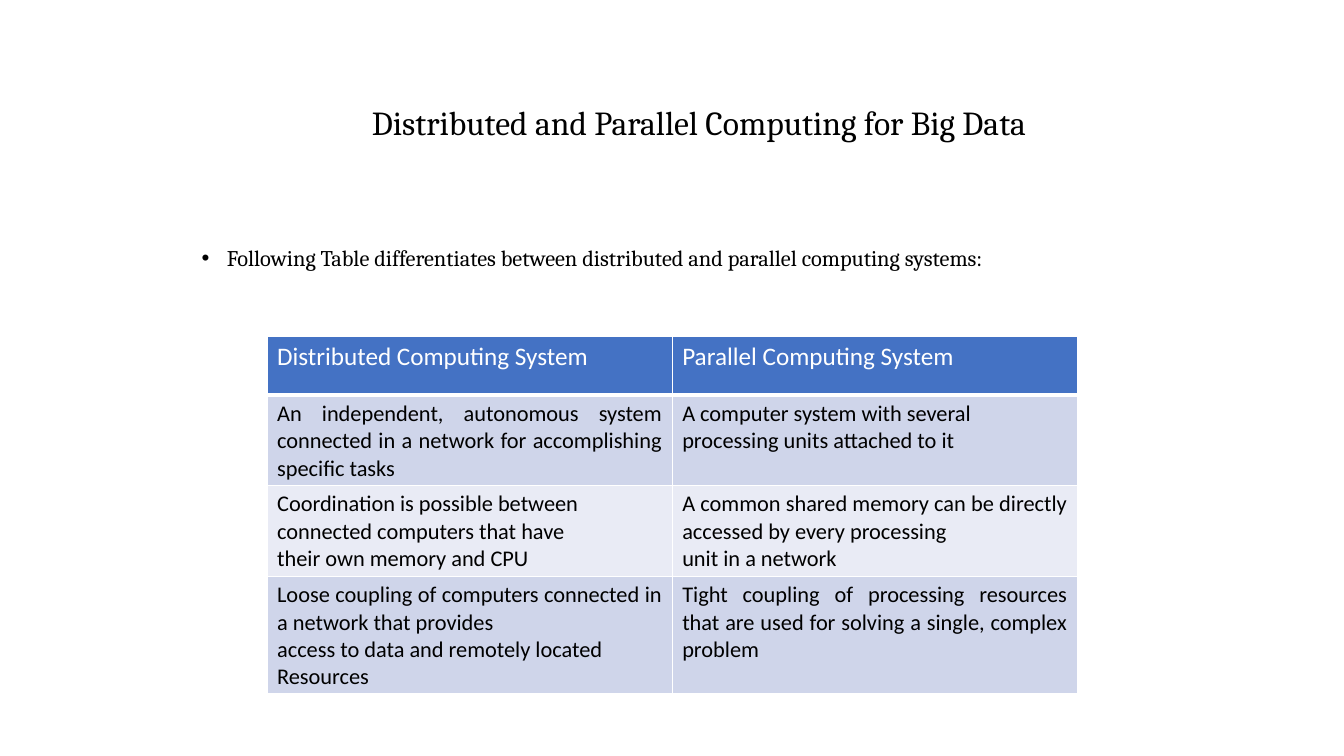
from dataclasses import dataclass

from lxml.etree import SubElement
from pptx import Presentation
from pptx.dml.color import RGBColor
from pptx.enum.text import MSO_ANCHOR, PP_ALIGN
from pptx.oxml.ns import qn
from pptx.util import Cm, Pt


@dataclass(frozen=True)
class Theme:
    black: str = "000000"
    white: str = "FFFFFF"
    header: str = "4472C4"
    bands: tuple = ("CFD5EA", "E9EBF5")
    serif: str = "Cambria"
    sans: str = "Calibri"
    title_size: int = 24
    header_size: int = 18
    body_size: int = 16
    border: int = 1
    header_border: int = 3


HEADINGS = ("Distributed Computing System", "Parallel Computing System")
COMPARISON = [
    (
        ["An independent, autonomous system connected in a network for accomplishing specific tasks"],
        ["A computer system with several", "processing units attached to it"],
    ),
    (
        ["Coordination is possible between", "connected computers that have", "their own memory and CPU"],
        ["A common shared memory can be directly accessed by every processing", "unit in a network"],
    ),
    (
        [
            "Loose coupling of computers connected in a network that provides",
            "access to data and remotely located",
            "Resources",
        ],
        ["Tight coupling of processing resources that are used for solving a single, complex problem"],
    ),
]


class SlideBuilder:
    def __init__(self, page, theme):
        self.page = page
        self.theme = theme

    def span(self, para, text, size, font, color):
        run = para.add_run()
        run.text = text
        run.font.size = Pt(size)
        run.font.name = font
        run.font.color.rgb = RGBColor.from_string(color)

    def text_frame(self, left, top, width, height):
        box = self.page.shapes.add_textbox(Cm(left), Cm(top), Cm(width), Cm(height))
        box.text_frame.word_wrap = True
        return box.text_frame

    def title(self, text, left, top, width, height, inset):
        """Centre the title in the part of its box to the right of the inset."""
        frame = self.text_frame(left, top, width, height)
        frame.vertical_anchor = MSO_ANCHOR.MIDDLE
        frame.margin_left = Cm(inset)
        para = frame.paragraphs[0]
        para.alignment = PP_ALIGN.CENTER
        para.line_spacing = 0.9
        self.span(para, text, self.theme.title_size, self.theme.serif, self.theme.black)

    def bullet(self, text, left, top, width, height, indent):
        para = self.text_frame(left, top, width, height).paragraphs[0]
        properties = para._p.get_or_add_pPr()
        properties.set("marL", str(Cm(indent)))
        properties.set("indent", str(-Cm(indent)))
        SubElement(properties, qn("a:buFont"), typeface="Arial")
        SubElement(properties, qn("a:buChar"), char="•")
        para.alignment = PP_ALIGN.JUSTIFY
        para.line_spacing = 1.5
        self.span(para, text, self.theme.body_size, self.theme.serif, self.theme.black)

    def cell(self, cell, lines, fill, size, color, alignment, bottom_border):
        widths = dict.fromkeys(("lnL", "lnR", "lnT"), self.theme.border)
        widths["lnB"] = bottom_border
        properties = cell._tc.get_or_add_tcPr()
        for side, width in widths.items():
            line = SubElement(properties, qn(f"a:{side}"), w=str(Pt(width)))
            paint = SubElement(line, qn("a:solidFill"))
            SubElement(paint, qn("a:srgbClr"), val=self.theme.white)
        cell.fill.solid()
        cell.fill.fore_color.rgb = RGBColor.from_string(fill)
        frame = cell.text_frame
        for index, text in enumerate(lines):
            para = frame.add_paragraph() if index else frame.paragraphs[0]
            para.alignment = alignment
            self.span(para, text, size, self.theme.sans, color)

    def table(self, headings, rows, left, top, width, row_heights):
        theme = self.theme
        table = self.page.shapes.add_table(
            len(rows) + 1, len(headings), Cm(left), Cm(top), Cm(width), Cm(sum(row_heights))
        ).table
        for column in table.columns:
            column.width = Cm(width / len(headings))
        for row, height in zip(table.rows, row_heights):
            row.height = Cm(height)
        for column, heading in enumerate(headings):
            self.cell(table.cell(0, column), [heading], theme.header, theme.header_size,
                      theme.white, PP_ALIGN.LEFT, theme.header_border)
        for index, row in enumerate(rows):
            band = theme.bands[index % len(theme.bands)]
            for column, lines in enumerate(row):
                self.cell(table.cell(index + 1, column), lines, band, theme.body_size,
                          theme.black, PP_ALIGN.JUSTIFY, theme.border)


def main():
    deck = Presentation()
    deck.slide_width, deck.slide_height = Cm(33.87), Cm(19.05)
    page = deck.slides.add_slide(deck.slide_layouts[6])
    builder = SlideBuilder(page, Theme())
    builder.bullet(
        "Following Table differentiates between distributed and parallel computing systems:",
        4.83, 5.69, 22.86, 12.19, indent=0.64,
    )
    builder.table(HEADINGS, COMPARISON, 6.73, 8.48, 20.42, [1.47, 2.21, 2.21, 2.84])
    builder.title("Distributed and Parallel Computing for Big Data", 2.95, 1.55, 26.62, 3.18, inset=2.96)
    deck.save("out.pptx")


if __name__ == "__main__":
    main()
